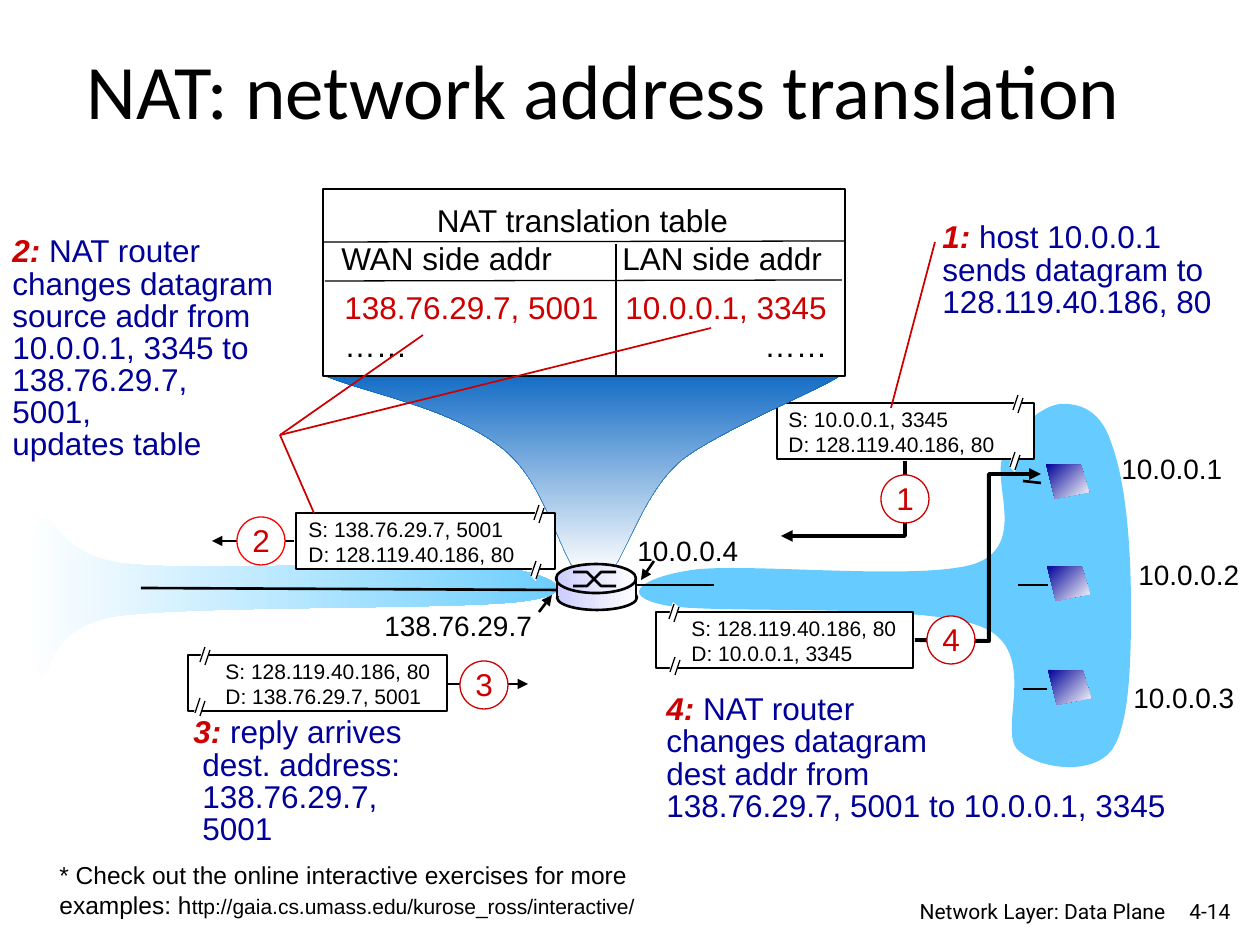
from dataclasses import dataclass

from lxml import etree
from pptx import Presentation
from pptx.dml.color import RGBColor
from pptx.enum.shapes import MSO_CONNECTOR, MSO_SHAPE
from pptx.enum.text import MSO_ANCHOR, MSO_AUTO_SIZE, PP_ALIGN
from pptx.oxml.ns import qn
from pptx.util import Pt

EMU_PER_PX = 914400 / 126


@dataclass(frozen=True)
class Theme:
    ink: str = "000000"
    paper: str = "FFFFFF"
    accent: str = "CC0000"
    bright: str = "FF0000"
    navy: str = "000099"
    sky: str = "66CCFF"
    funnel: str = "0563C1"
    metal: str = "CCCCFF"
    body: str = "Arial"
    heading: str = "Calibri"
    footer: str = "Roboto"
    title_size: int = 44
    note_size: int = 18
    address_size: int = 16
    source_size: int = 14
    small_size: int = 12


THEME = Theme()
TITLE = (THEME.heading, THEME.title_size, THEME.ink, False)
STEP = (THEME.body, THEME.note_size, THEME.accent, True)
NOTE = (THEME.body, THEME.note_size, THEME.navy, False)
HEADER = (THEME.body, THEME.note_size, THEME.ink, False)
ENTRY = (THEME.body, THEME.note_size, THEME.accent, False)
ADDRESS = (THEME.body, THEME.address_size, THEME.ink, False)
SOURCE = (THEME.body, THEME.source_size, THEME.ink, False)
SMALL = (THEME.body, THEME.small_size, THEME.ink, False)
FOOTER = (THEME.footer, THEME.small_size, THEME.ink, False)


def px(length):
    return round(length * EMU_PER_PX)


def set_attributes(target, values):
    for name, value in values.items():
        setattr(target, name, value)


def add_run(paragraph, text, style):
    face, size, color, strong = style
    run = paragraph.add_run()
    run.text = text
    set_attributes(run.font, {"name": face, "size": Pt(size), "bold": strong, "italic": strong})
    run.font.color.rgb = RGBColor.from_string(color)


def add_text(slide, area, lines, wrap=False, anchor=MSO_ANCHOR.TOP, **paragraph_format):
    frame = slide.shapes.add_textbox(*map(px, area)).text_frame
    fit = MSO_AUTO_SIZE.NONE if wrap else MSO_AUTO_SIZE.SHAPE_TO_FIT_TEXT
    set_attributes(frame, {"word_wrap": wrap, "auto_size": fit, "vertical_anchor": anchor})
    for index, runs in enumerate(lines):
        paragraph = frame.paragraphs[0] if index == 0 else frame.add_paragraph()
        set_attributes(paragraph, paragraph_format)
        for text, style in runs:
            add_run(paragraph, text, style)
    return frame


def add_tab(paragraph, position, align="l"):
    tabs = etree.SubElement(paragraph._p.get_or_add_pPr(), qn("a:tabLst"))
    etree.SubElement(tabs, qn("a:tab"), pos=str(px(position)), algn=align)


def paint(shape, fill=None, line=None, width=0.75, angle=0):
    shape.shadow.inherit = False
    if fill is None:
        shape.fill.background()
    elif isinstance(fill, tuple):
        shape.fill.gradient()
        shape.fill.gradient_angle = -angle % 360
        for stop, color in zip(shape.fill.gradient_stops, fill):
            stop.color.rgb = RGBColor.from_string(color)
    else:
        shape.fill.solid()
        shape.fill.fore_color.rgb = RGBColor.from_string(fill)
    if line is None:
        shape.line.fill.background()
    else:
        stroke(shape, line, width)
    return shape


def stroke(shape, color, width, end=None):
    shape.line.color.rgb = RGBColor.from_string(color)
    shape.line.width = Pt(width)
    if end:
        outline = shape.element.spPr.find(qn("a:ln"))
        etree.SubElement(outline, qn(f"a:{end}"), type="triangle")


def add_preset(slide, kind, area, **look):
    return paint(slide.shapes.add_shape(kind, *map(px, area)), **look)


def add_line(slide, start, finish, color=THEME.ink, width=1.5, arrow=False):
    line = slide.shapes.add_connector(MSO_CONNECTOR.STRAIGHT, *map(px, start + finish))
    stroke(line, color, width, "tailEnd" if arrow else None)
    etree.SubElement(line.element.spPr, qn("a:effectLst"))


def add_outline(slide, points, close=True, **look):
    corners = [(px(x), px(y)) for x, y in points]
    builder = slide.shapes.build_freeform(*corners[0])
    builder.add_line_segments(corners[1:], close=close)
    return paint(builder.convert_to_shape(), **look)


def add_route(slide, points):
    route = add_outline(slide, points, close=False)
    stroke(route, THEME.ink, 2.25, "tailEnd")


def add_curve(slide, start, segments, **look):
    points = [start]
    for segment in segments:
        points += zip(segment[::2], segment[1::2])
    shape = add_outline(slide, points, **look)
    steps = iter(list(shape.element.iter(qn("a:lnTo"))))
    for segment in segments:
        step = next(steps)
        if len(segment) == 6:
            step.tag = qn("a:cubicBezTo")
            for other in (next(steps), next(steps)):
                step.append(other[0])
                other.getparent().remove(other)


def add_packet(slide, corner, source, target, text_shift, breaks, width=257):
    left, top = corner
    add_preset(slide, MSO_SHAPE.RECTANGLE, (left, top, width, 56), fill=THEME.paper, line=THEME.ink)
    add_text(slide, (left + text_shift, top - 3, 244, 63),
             [[(f"S: {source}", SMALL)], [(f"D: {target}", SMALL)]], wrap=True)
    for dx, dy in breaks:
        x, y = left + dx, top + dy
        add_outline(slide, [(x + 5, y), (x, y + 16), (x + 6, y + 22), (x + 11, y + 5)], fill=THEME.paper)
        for shift_x, shift_y in ((0, 0), (5, 3)):
            add_line(slide, (x + 6 + shift_x, y + 2 + shift_y), (x + 1 + shift_x, y + 17 + shift_y), width=0.75)


def add_badge(slide, corner, number, ring=THEME.accent):
    left, top = corner
    add_preset(slide, MSO_SHAPE.OVAL, (left, top, 48, 48), fill=THEME.paper, line=ring)
    add_text(slide, (left + 3, top - 2, 43, 50), [[(number, ENTRY)]])


def add_note(slide, area, number, first, *rest, indent=0):
    lines = [[(f"{number}: ", STEP), (first, NOTE)]] + [[(text, NOTE)] for text in rest]
    frame = add_text(slide, area, lines, line_spacing=0.85)
    for paragraph in frame.paragraphs[1:] if indent else ():
        paragraph._p.get_or_add_pPr().set("marL", str(px(indent)))


def add_networks(slide):
    add_curve(slide, (494, 566), [
        (427, 559, 204, 572, 129, 564), (53, 558, 54, 503, 39, 522), (25, 539, 26, 658, 39, 674),
        (53, 690, 37, 629, 117, 616), (199, 605, 464, 610, 525, 601), (588, 592, 549, 573, 494, 566)],
        fill=(THEME.paper, THEME.sky))
    add_curve(slide, (692, 570), [
        (745, 562, 925, 582, 977, 563), (1028, 543, 990, 480, 1004, 454), (1017, 427, 1042, 406, 1060, 404),
        (1077, 403, 1100, 408, 1111, 442), (1124, 476, 1131, 533, 1131, 609), (1131, 660, 1130, 727, 1111, 751),
        (1092, 775, 1040, 770, 1018, 750), (997, 730, 1041, 651, 982, 627), (922, 602, 712, 615, 664, 605),
        (616, 595, 644, 577, 692, 570)], fill=THEME.sky)
    add_line(slide, (631, 585), (714, 585))


def add_translation_table(slide):
    add_curve(slide, (323, 375), [
        (323, 375, 777, 362, 838, 375), (856, 374, 719, 430, 682, 460), (644, 491, 626, 556, 610, 573),
        (577, 573), (559, 552, 544, 481, 503, 449), (451, 407, 364, 393, 323, 375)],
        fill=(THEME.funnel, THEME.paper), angle=90, line=THEME.funnel, width=0.25)
    add_preset(slide, MSO_SHAPE.RECTANGLE, (323, 189, 522, 187), fill=THEME.paper, line=THEME.ink)
    heads = add_text(slide, (329, 195, 507, 88), [
        [("NAT translation table", HEADER)], [("WAN side addr\tLAN side addr", HEADER)]], wrap=True)
    heads.paragraphs[0].alignment = PP_ALIGN.CENTER
    add_tab(heads.paragraphs[1], 281)
    for start, finish in (((323, 242), (845, 241)), ((325, 281), (842, 280)), ((616, 244), (616, 375))):
        add_line(slide, start, finish, width=0.75)
    entries = add_text(slide, (332, 282, 510, 88), [
        [("138.76.29.7, 5001\t10.0.0.1, 3345", ENTRY)], [("……\t……", HEADER)]], wrap=True)
    add_tab(entries.paragraphs[0], 281)
    add_tab(entries.paragraphs[1], 483, "r")


def add_router(slide):
    metal = (THEME.metal, THEME.paper)
    add_preset(slide, MSO_SHAPE.OVAL, (557, 585, 80, 25), fill=metal, line=THEME.ink, width=1.5)
    add_preset(slide, MSO_SHAPE.RECTANGLE, (557, 581, 80, 15), fill=metal)
    add_preset(slide, MSO_SHAPE.OVAL, (556, 564, 80, 29), fill=metal, line=THEME.ink, width=1.5)
    for start, finish in ((586, 572), (572, 586)):
        points = [(573, start), (587, start), (601, finish), (616, finish)]
        add_outline(slide, points, close=False, line=THEME.ink, width=1.5)
    for side in (557, 636):
        add_line(slide, (side, 578), (side, 598))


def add_hosts(slide):
    hosts = (((1046, 464), (1023, 481), (1041, 483), "10.0.0.1", (1109, 445)),
             ((1047, 566), (1018, 585), (1048, 585), "10.0.0.2", (1126, 551)),
             ((1048, 670), (1023, 689), (1047, 689), "10.0.0.3", (1121, 674)))
    for (x, y), start, finish, address, label in hosts:
        add_line(slide, start, finish)
        add_outline(slide, [(x, y), (x + 35, y + 1), (x + 43, y + 28), (x + 9, y + 35)],
                    fill=(THEME.navy, THEME.paper), angle=45)
        add_text(slide, (*label, 127, 47), [[(address, ADDRESS)]])


def main():
    deck = Presentation()
    set_attributes(deck, {"slide_width": px(1260), "slide_height": px(945)})
    slide = deck.slides.add_slide(deck.slide_layouts[5])
    title = slide.shapes.title
    set_attributes(title, {"left": px(74), "top": px(32), "width": px(1115), "height": px(125)})
    set_attributes(title.text_frame, {"auto_size": MSO_AUTO_SIZE.NONE, "vertical_anchor": MSO_ANCHOR.MIDDLE})
    heading = title.text_frame.paragraphs[0]
    set_attributes(heading, {"alignment": PP_ALIGN.LEFT, "line_spacing": 0.9})
    add_run(heading, "NAT: network address translation", TITLE)

    add_networks(slide)
    web, lan_host, nat = "128.119.40.186, 80", "10.0.0.1, 3345", "138.76.29.7, 5001"
    add_packet(slide, (777, 403), lan_host, web, -1, ((235, -10), (232, 47)))
    add_route(slide, [(905, 461), (905, 536), (781, 536)])
    add_badge(slide, (881, 475), "1")
    add_text(slide, (625, 527, 127, 47), [[("10.0.0.4", ADDRESS)]])
    add_line(slide, (654, 561), (641, 580), arrow=True)
    add_text(slide, (372, 602, 174, 47), [[("138.76.29.7", ADDRESS)]])
    add_line(slide, (539, 612), (552, 595), arrow=True)
    add_note(slide, (930, 217, 296, 110), 1, "host 10.0.0.1", "sends datagram to", web)
    add_line(slide, (935, 242), (891, 408), THEME.accent, 1)

    add_translation_table(slide)
    add_packet(slide, (656, 612), web, lan_host, 23, ((12, -10), (13, 43)))
    add_route(slide, [(915, 640), (989, 641), (989, 474), (1041, 474)])
    add_badge(slide, (927, 616), "4")
    add_packet(slide, (296, 513), nat, web, 0, ((237, -10), (234, 46)), width=259)
    add_line(slide, (294, 541), (212, 541), arrow=True)
    add_badge(slide, (237, 517), "2", THEME.bright)
    add_note(slide, (0, 231, 287, 205), 2, "NAT router", "changes datagram", "source addr from",
             f"{lan_host} to", f"{nat},", "updates table")
    for finish in ((314, 513), (423, 335), (711, 328)):
        add_line(slide, (280, 435), finish, THEME.accent, 1)
    add_packet(slide, (188, 655), web, nat, 25, ((11, -10), (6, 41)), width=259)
    add_line(slide, (446, 684), (528, 684), arrow=True)
    add_badge(slide, (460, 661), "3")
    add_note(slide, (181, 712, 287, 110), 3, "reply arrives", "dest. address:", nat, indent=9)
    add_note(slide, (654, 689, 533, 179), 4, "NAT router", "changes datagram", "dest addr from",
             f"{nat} to {lan_host}")
    add_line(slide, (141, 588), (558, 590))
    add_router(slide)
    add_hosts(slide)

    add_text(slide, (1166, 892, 77, 38), [[("4-14", FOOTER)]], wrap=True,
             anchor=MSO_ANCHOR.MIDDLE, alignment=PP_ALIGN.RIGHT)
    add_text(slide, (878, 892, 300, 33), [[("Network Layer: Data Plane", FOOTER)]], wrap=True,
             alignment=PP_ALIGN.RIGHT)
    add_text(slide, (47, 854, 621, 72), [[
        ("* Check out the online interactive exercises for more examples: h", SOURCE),
        ("ttp://gaia.cs.umass.edu/kurose_ross/interactive/", SMALL)]], wrap=True)
    deck.save("out.pptx")


if __name__ == "__main__":
    main()
